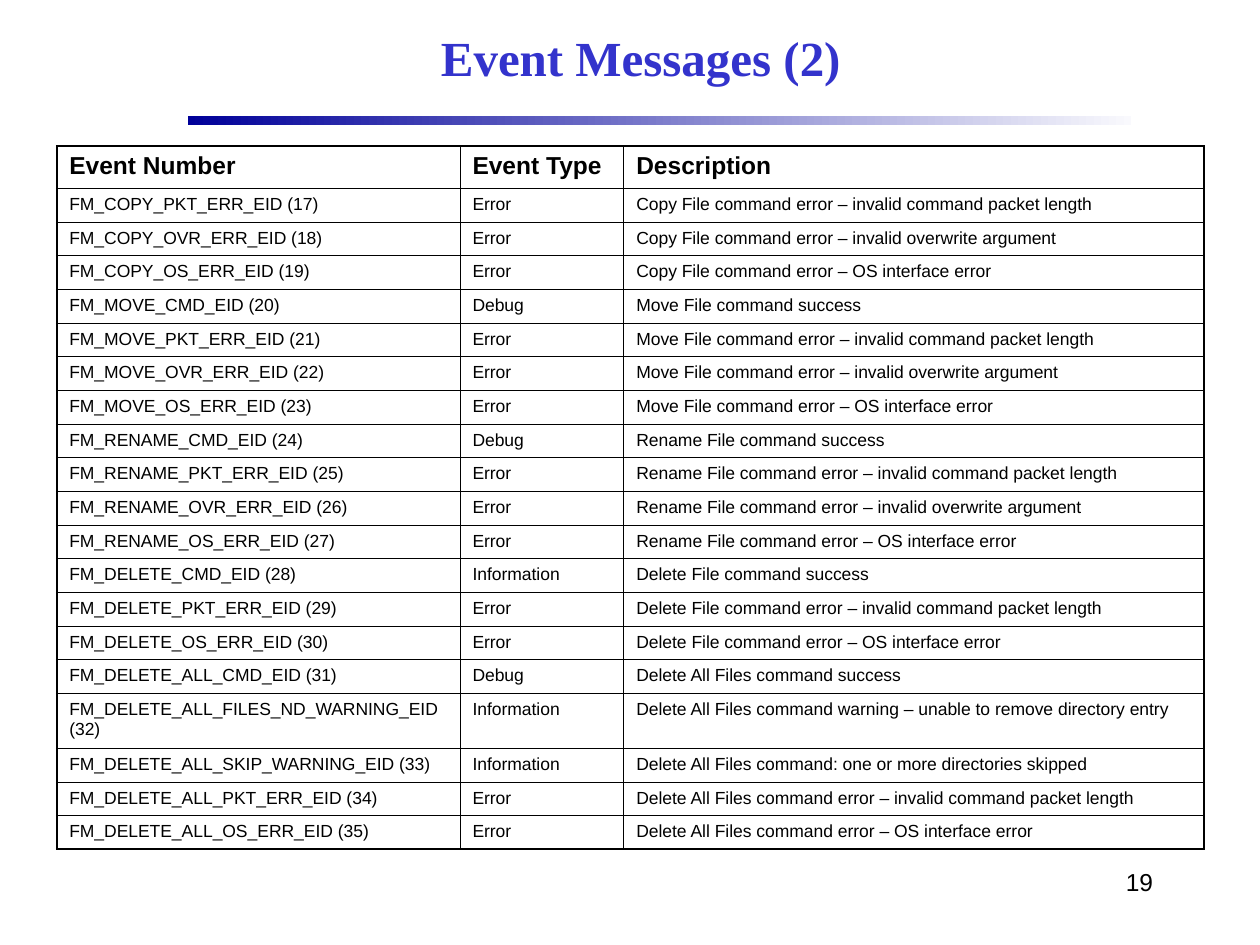
from typing import NamedTuple

from lxml import etree
from pptx import Presentation
from pptx.dml.color import RGBColor
from pptx.enum.shapes import MSO_SHAPE
from pptx.enum.text import MSO_ANCHOR, PP_ALIGN
from pptx.oxml.ns import qn
from pptx.util import Inches, Pt

RECTANGLE = MSO_SHAPE.RECTANGLE
LEFT, CENTER, RIGHT = PP_ALIGN.LEFT, PP_ALIGN.CENTER, PP_ALIGN.RIGHT
MIDDLE = MSO_ANCHOR.MIDDLE

BLACK = RGBColor(0x00, 0x00, 0x00)
TITLE_BLUE = RGBColor(0x33, 0x33, 0xCC)
RULE_START = RGBColor(0x00, 0x00, 0x99)
RULE_END = RGBColor(0xF9, 0xF9, 0xFD)

SLIDE_WIDTH, SLIDE_HEIGHT = Inches(10), Inches(7.5)
OUTER_BORDER, INNER_BORDER = Pt(1.08), Pt(0.45)


class Region(NamedTuple):
    """A rectangle in percent of the slide's width and height."""
    left: float
    top: float
    width: float
    height: float

    def box(self) -> tuple[int, int, int, int]:
        return (across(self.left), down(self.top), across(self.width), down(self.height))


class Event(NamedTuple):
    number: str
    kind: str
    description: str


TITLE = Region(15, 1.07, 71.7, 10)
RULE = Region(14.9, 12.27, 74.9, 0.95)
TABLE = Region(4.5, 15.47, 91.05, 74.27)
PAGE_NUMBER = Region(71.7, 91.07, 20.8, 6.67)

# Table grid, in percent of the slide
NUMBER_WIDTH, KIND_WIDTH = 32, 13
HEADER_HEIGHT, WRAPPED_HEIGHT = 4.43, 5.8
WRAPPED_ROW = 16

HEADER = Event("Event Number", "Event Type", "Description")
EVENTS = [
    Event("FM_COPY_PKT_ERR_EID (17)", "Error", "Copy File command error – invalid command packet length"),
    Event("FM_COPY_OVR_ERR_EID (18)", "Error", "Copy File command error – invalid overwrite argument"),
    Event("FM_COPY_OS_ERR_EID (19)", "Error", "Copy File command error – OS interface error"),
    Event("FM_MOVE_CMD_EID (20)", "Debug", "Move File command success"),
    Event("FM_MOVE_PKT_ERR_EID (21)", "Error", "Move File command error – invalid command packet length"),
    Event("FM_MOVE_OVR_ERR_EID (22)", "Error", "Move File command error – invalid overwrite argument"),
    Event("FM_MOVE_OS_ERR_EID (23)", "Error", "Move File command error – OS interface error"),
    Event("FM_RENAME_CMD_EID (24)", "Debug", "Rename File command success"),
    Event("FM_RENAME_PKT_ERR_EID (25)", "Error", "Rename File command error – invalid command packet length"),
    Event("FM_RENAME_OVR_ERR_EID (26)", "Error", "Rename File command error – invalid overwrite argument"),
    Event("FM_RENAME_OS_ERR_EID (27)", "Error", "Rename File command error – OS interface error"),
    Event("FM_DELETE_CMD_EID (28)", "Information", "Delete File command success"),
    Event("FM_DELETE_PKT_ERR_EID (29)", "Error", "Delete File command error – invalid command packet length"),
    Event("FM_DELETE_OS_ERR_EID (30)", "Error", "Delete File command error – OS interface error"),
    Event("FM_DELETE_ALL_CMD_EID (31)", "Debug", "Delete All Files command success"),
    Event("FM_DELETE_ALL_FILES_ND_WARNING_EID (32)", "Information",
          "Delete All Files command warning – unable to remove directory entry"),
    Event("FM_DELETE_ALL_SKIP_WARNING_EID (33)", "Information",
          "Delete All Files command: one or more directories skipped"),
    Event("FM_DELETE_ALL_PKT_ERR_EID (34)", "Error",
          "Delete All Files command error – invalid command packet length"),
    Event("FM_DELETE_ALL_OS_ERR_EID (35)", "Error", "Delete All Files command error – OS interface error"),
]


def across(percent: float) -> int:
    return round(SLIDE_WIDTH * percent / 100)


def down(percent: float) -> int:
    return round(SLIDE_HEIGHT * percent / 100)


def write_text(text_frame, text: str, *, size: float, font: str = "Arial", bold: bool = False,
               color: RGBColor = BLACK, align=LEFT) -> None:
    paragraph = text_frame.paragraphs[0]
    paragraph.alignment = align
    run = paragraph.add_run()
    run.text = text
    run.font.size, run.font.name, run.font.bold = Pt(size), font, bold
    run.font.color.rgb = color


def set_border(cell, side: str, width: int) -> None:
    line = etree.SubElement(cell._tc.get_or_add_tcPr(), qn(f"a:ln{side}"), w=str(int(width)))
    fill = etree.SubElement(line, qn("a:solidFill"))
    etree.SubElement(fill, qn("a:srgbClr"), val=str(BLACK))


def add_title(slide, text: str) -> None:
    title = slide.shapes.title
    title.left, title.top, title.width, title.height = TITLE.box()
    title.text_frame.vertical_anchor = MIDDLE
    write_text(title.text_frame, text, size=28, font="Times New Roman", bold=True,
               color=TITLE_BLUE, align=CENTER)


def add_rule(slide) -> None:
    rule = slide.shapes.add_shape(RECTANGLE, *RULE.box())
    rule.shadow.inherit = False
    rule.line.fill.background()
    rule.fill.gradient()
    rule.fill.gradient_angle = 0
    for stop, color in zip(rule.fill.gradient_stops, (RULE_START, RULE_END)):
        stop.color.rgb = color


def add_event_table(slide) -> None:
    records = [HEADER, *EVENTS]
    last_row, last_column = len(records) - 1, len(HEADER) - 1
    table = slide.shapes.add_table(len(records), len(HEADER), *TABLE.box()).table
    table.horz_banding = False

    # Column widths and row heights
    widths = (NUMBER_WIDTH, KIND_WIDTH, TABLE.width - NUMBER_WIDTH - KIND_WIDTH)
    for column, width in zip(table.columns, widths):
        column.width = across(width)
    plain_height = (TABLE.height - HEADER_HEIGHT - WRAPPED_HEIGHT) / (len(EVENTS) - 1)
    special_heights = {0: HEADER_HEIGHT, WRAPPED_ROW: WRAPPED_HEIGHT}
    for index, row in enumerate(table.rows):
        row.height = down(special_heights.get(index, plain_height))

    # Cell text and borders
    for row_index, record in enumerate(records):
        is_header = row_index == 0
        for column_index, text in enumerate(record):
            cell = table.cell(row_index, column_index)
            write_text(cell.text_frame, text, size=14 if is_header else 10, bold=is_header)
            outer_sides = {"L": column_index == 0, "R": column_index == last_column,
                           "T": is_header, "B": row_index == last_row}
            for side, is_outer in outer_sides.items():
                set_border(cell, side, OUTER_BORDER if is_outer else INNER_BORDER)
            cell.fill.background()


def add_page_number(slide, text: str) -> None:
    box = slide.shapes.add_textbox(*PAGE_NUMBER.box())
    box.text_frame.word_wrap = True
    write_text(box.text_frame, text, size=14, align=RIGHT)


def main() -> None:
    presentation = Presentation()
    presentation.slide_width, presentation.slide_height = SLIDE_WIDTH, SLIDE_HEIGHT
    slide = presentation.slides.add_slide(presentation.slide_layouts[5])
    add_rule(slide)
    add_page_number(slide, "19")
    add_title(slide, "Event Messages (2)")
    add_event_table(slide)
    presentation.save("out.pptx")


if __name__ == "__main__":
    main()
